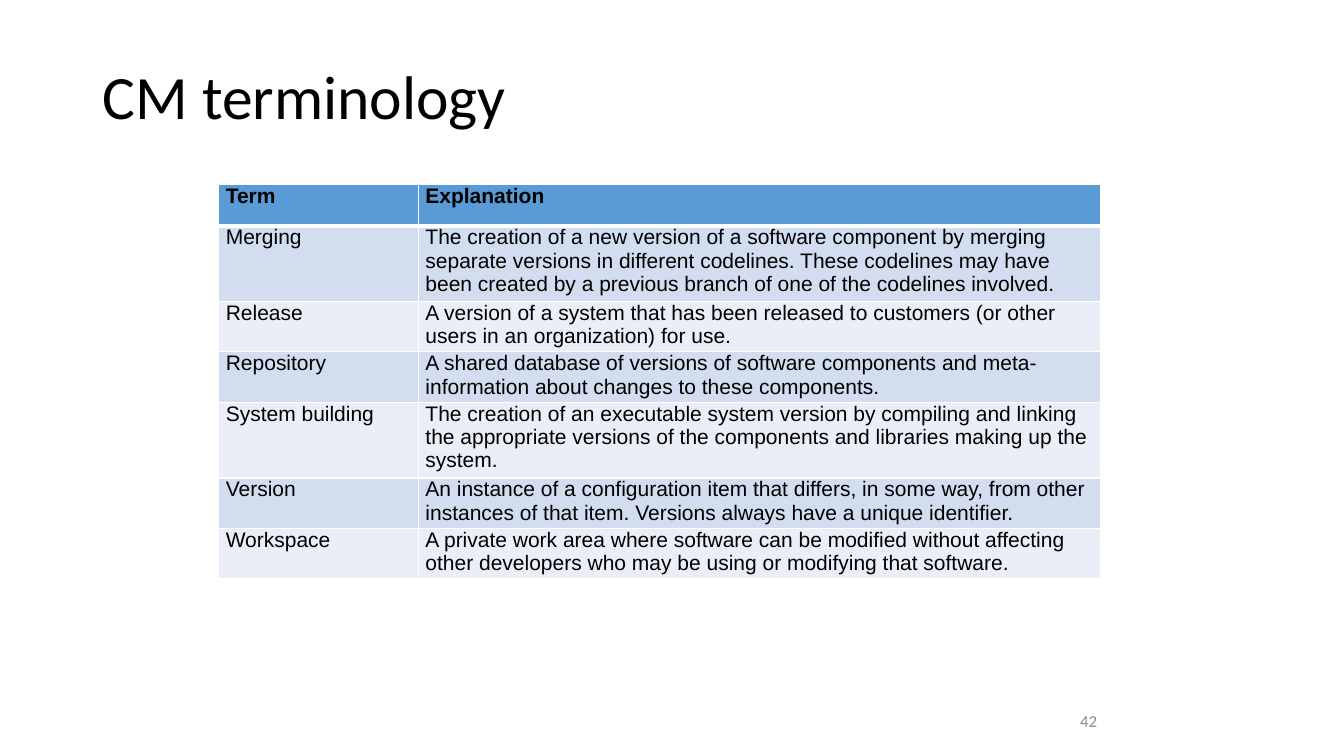
import pptx
import pptx.util
import pptx.dml.color
import pptx.enum.text
import pptx.oxml
import pptx.oxml.ns

PX = 9144  # 100 px to the inch
ALIGN = pptx.enum.text.PP_ALIGN
MIDDLE = pptx.enum.text.MSO_ANCHOR.MIDDLE


def color(value):
    return pptx.dml.color.RGBColor.from_string(value)


def add_run(paragraph, text, font_name, size, text_color, bold=False):
    run = paragraph.add_run()
    run.text = text
    run.font.name = font_name
    run.font.size = pptx.util.Pt(size)
    run.font.color.rgb = color(text_color)
    run.font.bold = bold


presentation = pptx.Presentation()
presentation.slide_width = 1333 * PX
presentation.slide_height = 750 * PX
slide = presentation.slides.add_slide(presentation.slide_layouts[6])

# Title and slide number
texts = [
    ("CM terminology", (92, 40, 1150, 118), 44, "000000", ALIGN.LEFT, 0.9),
    ("42", (873, 695, 225, 40), 12, "8C8C8C", ALIGN.RIGHT, 1.0),
]
for text, box, size, text_color, alignment, line_spacing in texts:
    shape = slide.shapes.add_textbox(*[length * PX for length in box])
    shape.text_frame.word_wrap = True
    shape.text_frame.vertical_anchor = MIDDLE
    paragraph = shape.text_frame.paragraphs[0]
    paragraph.alignment = alignment
    paragraph.line_spacing = line_spacing
    add_run(paragraph, text, "Calibri", size, text_color)

# Terminology table
terms = [
    ("Term", "Explanation"),
    ("Merging", "The creation of a new version of a software component by merging "
     "separate versions in different codelines. These codelines may have been "
     "created by a previous branch of one of the codelines involved."),
    ("Release", "A version of a system that has been released to customers "
     "(or other users in an organization) for use."),
    ("Repository", "A shared database of versions of software components and "
     "meta-information about changes to these components."),
    ("System building", "The creation of an executable system version by compiling "
     "and linking the appropriate versions of the components and libraries making "
     "up the system."),
    ("Version", "An instance of a configuration item that differs, in some way, "
     "from other instances of that item. Versions always have a unique identifier."),
    ("Workspace", "A private work area where software can be modified without "
     "affecting other developers who may be using or modifying that software."),
]
column_widths = [198, 677]
row_height = 41
table = slide.shapes.add_table(
    len(terms), len(column_widths), 217 * PX, 183 * PX,
    sum(column_widths) * PX, len(terms) * row_height * PX).table
table.horz_banding = False
for column, width in zip(table.columns, column_widths):
    column.width = width * PX

for row_index, row_texts in enumerate(terms):
    table.rows[row_index].height = row_height * PX
    is_header = row_index == 0
    fill = "5B9BD5" if is_header else ("EAEFF7", "D2DEEF")[row_index % 2]
    for column_index, text in enumerate(row_texts):
        cell = table.cell(row_index, column_index)
        cell.margin_left = cell.margin_right = 7 * PX
        cell.margin_top = cell.margin_bottom = 0
        cell.fill.solid()
        cell.fill.fore_color.rgb = color(fill)
        paragraph = cell.text_frame.paragraphs[0]
        paragraph.alignment = ALIGN.JUSTIFY if is_header else ALIGN.LEFT
        paragraph.space_after = pptx.util.Pt(2)
        add_run(paragraph, text, "Arial", 15, "000000", is_header)

        # White borders, thicker under the header row
        borders = {"lnL": 1, "lnR": 1, "lnT": 3 if row_index == 1 else 1,
                   "lnB": 3 if is_header else 1}
        for position, (tag, points) in enumerate(borders.items()):
            border = pptx.oxml.parse_xml(
                f'<a:{tag} {pptx.oxml.ns.nsdecls("a")} w="{pptx.util.Pt(points)}">'
                '<a:solidFill><a:srgbClr val="FFFFFF"/></a:solidFill>'
                f'</a:{tag}>')
            cell._tc.get_or_add_tcPr().insert(position, border)

presentation.save("out.pptx")
